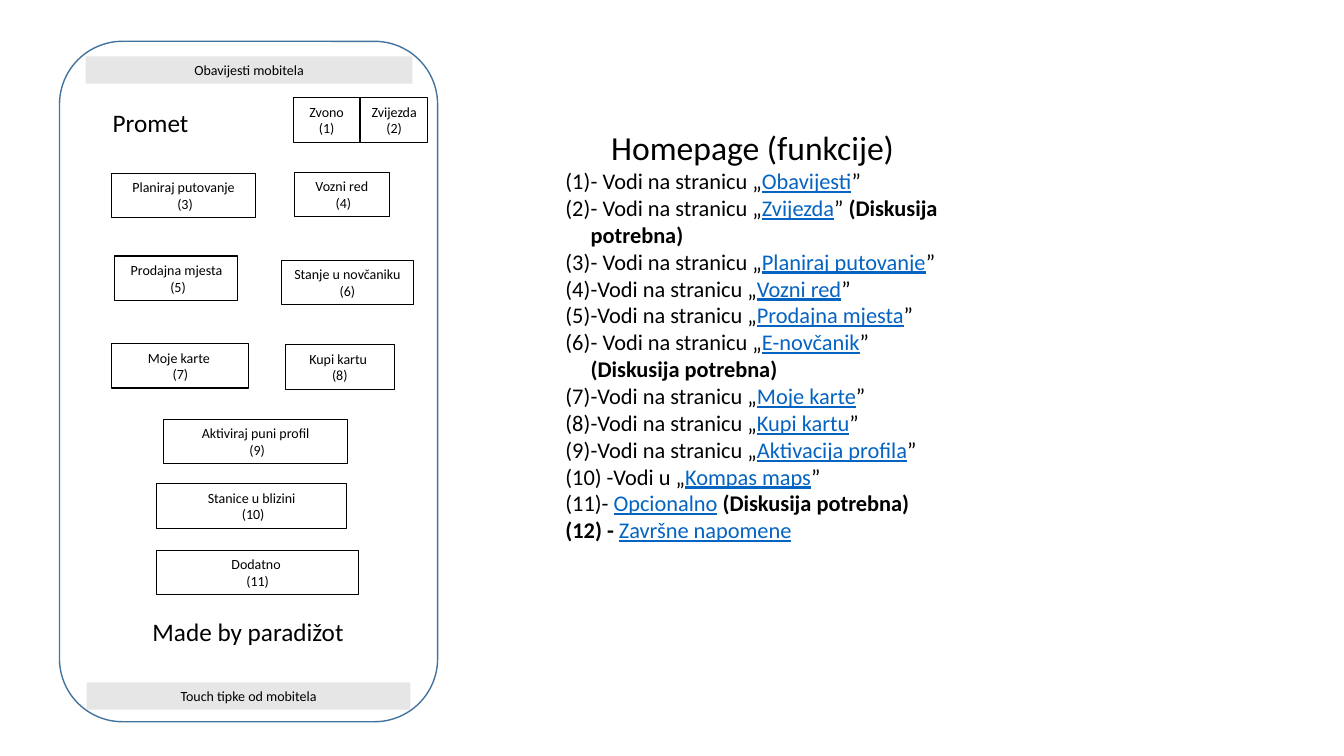
from lxml import etree
from pptx import Presentation
from pptx.dml.color import RGBColor
from pptx.enum.shapes import MSO_SHAPE
from pptx.enum.text import MSO_ANCHOR, MSO_AUTO_SIZE, PP_ALIGN
from pptx.oxml.ns import qn
from pptx.util import Pt

RECTANGLE, ROUNDED = MSO_SHAPE.RECTANGLE, MSO_SHAPE.ROUNDED_RECTANGLE
LEFT, CENTER = PP_ALIGN.LEFT, PP_ALIGN.CENTER
MIDDLE = MSO_ANCHOR.MIDDLE
GROW = MSO_AUTO_SIZE.SHAPE_TO_FIT_TEXT

PX = 9144
FONT = "Calibri"
BLACK, GREY, BLUE, LINK = "000000", "E7E6E6", "43739E", "0563C1"
BUTTON_HEIGHT = 44
NUMBER_INDENT = 25

BARS = [
    (85, 56, 324, "Obavijesti mobitela"),
    (86, 677, 321, "Touch tipke od mobitela"),
]
BUTTONS = [
    (291, 97, 66, ["Zvono (1)"]),
    (358, 97, 66, ["Zvijezda (2)"]),
    (111, 172, 142, ["Planiraj putovanje", " (3)"]),
    (292, 171, 94, ["Vozni red", " (4)"]),
    (114, 254, 122, ["Prodajna mjesta", " (5)"]),
    (279, 258, 131, ["Stanje u novčaniku", "(6)"]),
    (111, 341, 136, ["Moje karte ", "(7)"]),
    (283, 342, 108, ["Kupi kartu ", "(8)"]),
    (162, 416, 183, ["Aktiviraj puni profil", " (9)"]),
    (155, 480, 189, ["Stanice u blizini", " (10)"]),
    (155, 546, 201, ["Dodatno ", "(11)"]),
]
SPACED = "- Vodi na stranicu „"
TIGHT = "-Vodi na stranicu „"
DISCUSSION = "(Diskusija potrebna)"
FUNCTIONS = [
    (SPACED, "Obavijesti", "”", ""),
    (SPACED, "Zvijezda", "” ", DISCUSSION),
    (SPACED, "Planiraj putovanje", "”", ""),
    (TIGHT, "Vozni red", "”", ""),
    (TIGHT, "Prodajna mjesta", "”", ""),
    (SPACED, "E-novčanik", "” ", DISCUSSION),
    (TIGHT, "Moje karte", "”", ""),
    (TIGHT, "Kupi kartu", "”", ""),
    (TIGHT, "Aktivacija profila", "”", ""),
    (" -Vodi u „", "Kompas maps", "”", ""),
    ("- ", "Opcionalno", " ", DISCUSSION),
]


def color(value):
    return RGBColor.from_string(value)


def box(left, top, width, height):
    return [length * PX for length in (left, top, width, height)]


def add_run(paragraph, text, size, ink=BLACK, bold=False, underline=False):
    run = paragraph.add_run()
    run.text = text
    font = run.font
    font.name, font.size, font.bold, font.underline = FONT, Pt(size), bold, underline
    font.color.rgb = color(ink)


def write_lines(frame, lines, size, align):
    frame.word_wrap = True
    frame.auto_size = GROW
    for index, line in enumerate(lines):
        paragraph = frame.add_paragraph() if index else frame.paragraphs[0]
        paragraph.alignment = align
        add_run(paragraph, line, size)


def add_panel(slide, kind, place, fill=None, outline=None, weight=0.75):
    panel = slide.shapes.add_shape(kind, *box(*place))
    panel.shadow.inherit = False
    if fill:
        panel.fill.solid()
        panel.fill.fore_color.rgb = color(fill)
    else:
        panel.fill.background()
    if outline:
        panel.line.color.rgb = color(outline)
        panel.line.width = Pt(weight)
    else:
        panel.line.fill.background()
    panel.text_frame.vertical_anchor = MIDDLE
    return panel


def add_label(slide, place, text, size, align):
    frame = slide.shapes.add_textbox(*box(*place)).text_frame
    write_lines(frame, [text], size, align)
    return frame


def add_numbered(frame):
    paragraph = frame.add_paragraph()
    properties = paragraph._p.get_or_add_pPr()
    properties.set("marL", str(NUMBER_INDENT * PX))
    properties.set("indent", str(-NUMBER_INDENT * PX))
    numbering = etree.SubElement(properties, qn("a:buAutoNum"))
    numbering.set("type", "arabicParenBoth")
    return paragraph


def add_functions(slide):
    frame = add_label(slide, (551, 121, 391, 427), "Homepage (funkcije)", 24, CENTER)
    for lead, page, closing, remark in FUNCTIONS:
        paragraph = add_numbered(frame)
        add_run(paragraph, lead, 16)
        add_run(paragraph, page, 16, LINK, underline=True)
        add_run(paragraph, closing, 16)
        if remark:
            add_run(paragraph, remark, 16, bold=True)
    final = add_numbered(frame)
    add_run(final, " - ", 16, bold=True)
    add_run(final, "Završne napomene", 16, LINK, underline=True)


def add_phone(slide):
    add_panel(slide, ROUNDED, (59, 41, 375, 675), outline=BLUE, weight=1)
    for left, top, width, caption in BARS:
        bar = add_panel(slide, RECTANGLE, (left, top, width, 27), fill=GREY)
        write_lines(bar.text_frame, [caption], 10, CENTER)
    add_label(slide, (102, 102, 120, 40), "Promet", 18, LEFT)
    for left, top, width, lines in BUTTONS:
        place = (left, top, width, BUTTON_HEIGHT)
        button = add_panel(slide, RECTANGLE, place, outline=BLACK)
        write_lines(button.text_frame, lines, 10, CENTER)
    add_label(slide, (127, 607, 238, 40), "Made by paradižot", 18, CENTER)


def main():
    deck = Presentation()
    deck.slide_width, deck.slide_height = 1333 * PX, 750 * PX
    slide = deck.slides.add_slide(deck.slide_layouts[6])
    add_phone(slide)
    add_functions(slide)
    deck.save("out.pptx")


if __name__ == "__main__":
    main()
